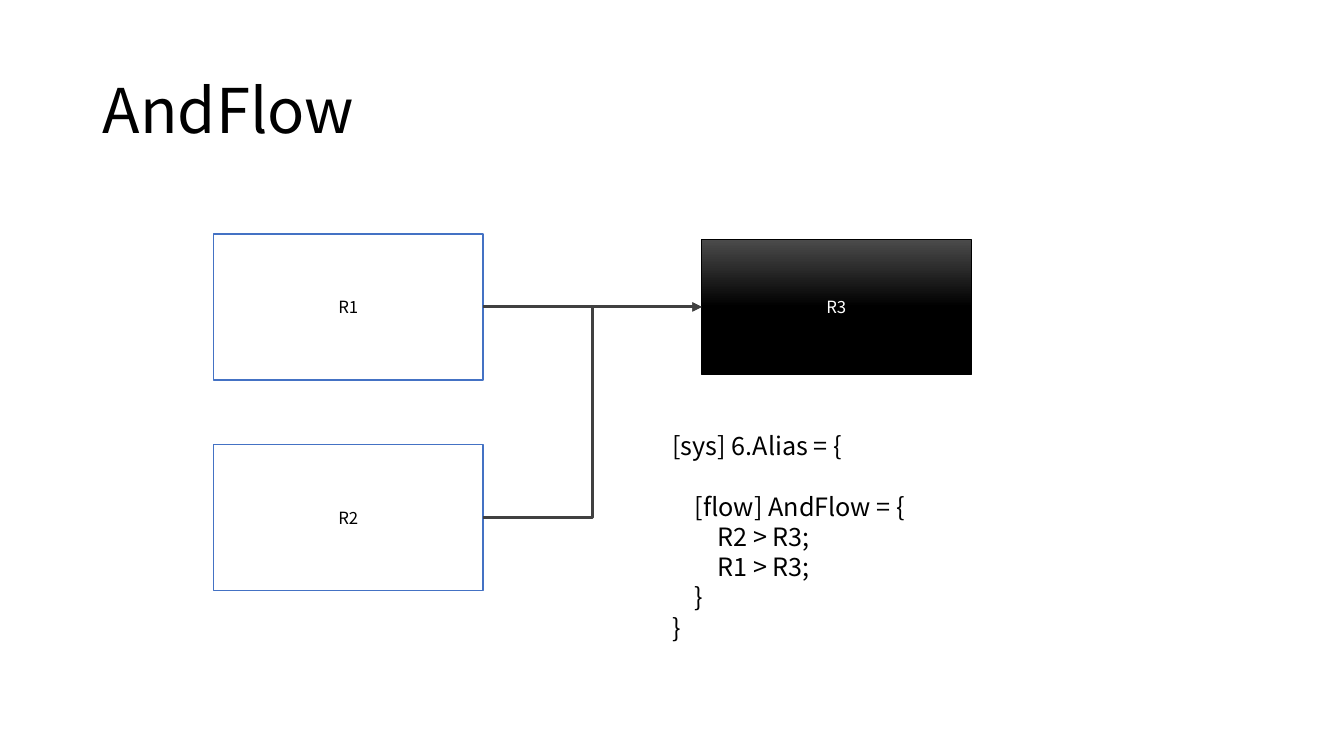
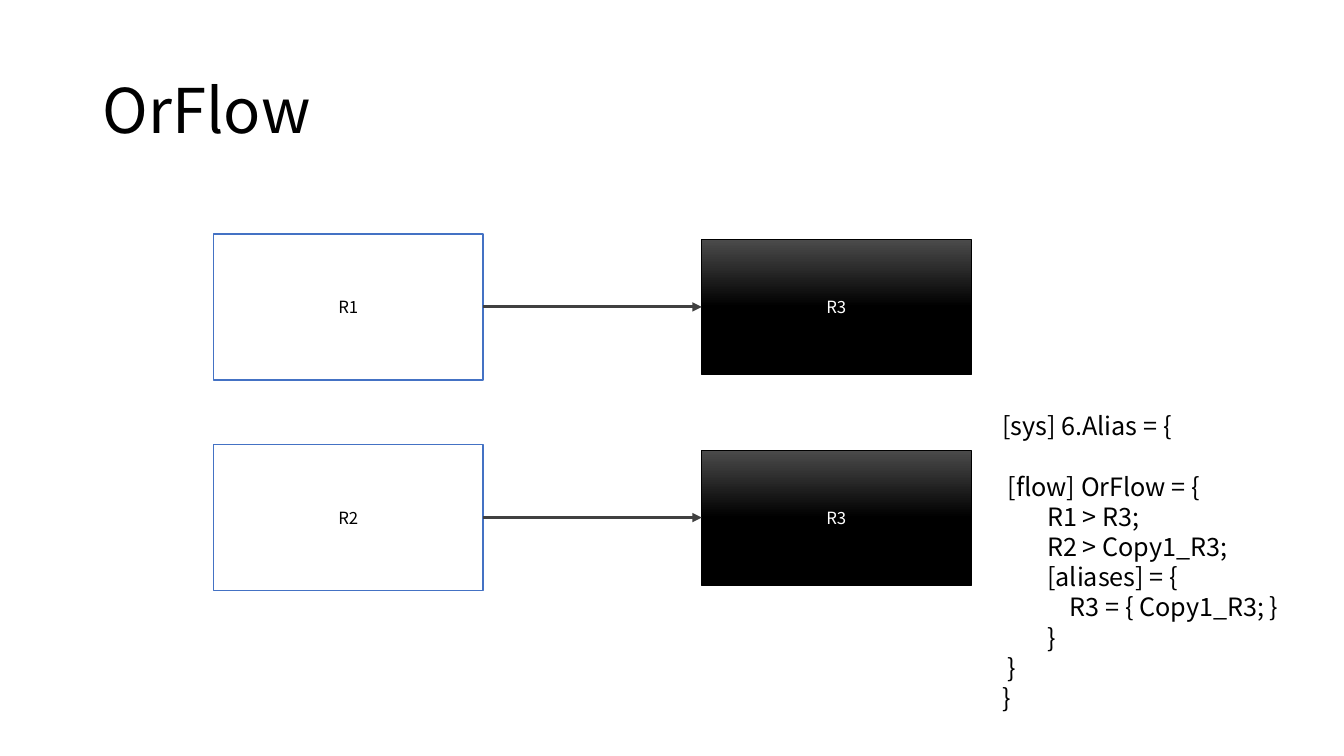
from lxml.etree import SubElement
from pptx import Presentation
from pptx.dml.color import RGBColor
from pptx.enum.shapes import MSO_CONNECTOR, MSO_SHAPE
from pptx.enum.text import MSO_ANCHOR, MSO_AUTO_SIZE, PP_ALIGN
from pptx.oxml.ns import qn
from pptx.util import Inches, Pt

FONT = "Noto Sans CJK KR"
BLACK = "000000"
WHITE = "FFFFFF"
BLUE = "4472C4"
GRAY = "404040"
CHARCOAL = "4B4B4B"

TITLE_BOX = (0.92, 0.4, 11.5, 1.45)
DIAGRAM_BOX = (2.12, 2.32, 7.51, 3.54)
NODE_WIDTH = 2.67
SOURCE_HEIGHT = 1.45
TARGET_HEIGHT = 1.34

AND_CODE = """[sys] 6.Alias = {
    [flow] AndFlow = {
        R2 > R3;
        R1 > R3;
    }
}"""

OR_CODE = """[sys] 6.Alias = {
 [flow] OrFlow = {
        R1 > R3;
        R2 > Copy1_R3;
        [aliases] = {
            R3 = { Copy1_R3; }
        }
 }
}"""


def color(value):
    return RGBColor.from_string(value)


def inches(box):
    return [Inches(length) for length in box]


def add_text(frame, text, size=12, fill=BLACK, align=PP_ALIGN.LEFT,
             anchor=MSO_ANCHOR.MIDDLE, line_spacing=None, gaps=None):
    frame.word_wrap = True
    frame.vertical_anchor = anchor
    for index, line in enumerate(text.split("\n")):
        para = frame.add_paragraph() if index else frame.paragraphs[0]
        para.alignment = align
        para.line_spacing = line_spacing
        if gaps and index in gaps:
            para.space_before = Pt(gaps[index])
        span = para.add_run()
        span.text = line
        span.font.name = FONT
        span.font.size = Pt(size)
        span.font.color.rgb = color(fill)


def add_title(page, box, text):
    title = page.shapes.title
    title.left, title.top, title.width, title.height = inches(box)
    add_text(title.text_frame, text, size=44, line_spacing=0.9)


def add_node(page, box, text, line, line_width, text_fill):
    node = page.shapes.add_shape(MSO_SHAPE.RECTANGLE, *inches(box))
    node.shadow.inherit = False
    node.fill.background()
    node.line.color.rgb = color(line)
    node.line.width = Pt(line_width)
    add_text(node.text_frame, text, fill=text_fill, align=PP_ALIGN.CENTER)
    return node


def add_source(page, left, middle, text):
    box = (left, middle - SOURCE_HEIGHT / 2, NODE_WIDTH, SOURCE_HEIGHT)
    return add_node(page, box, text, BLUE, 1, BLACK)


def add_target(page, left, middle, text):
    box = (left, middle - TARGET_HEIGHT / 2, NODE_WIDTH, TARGET_HEIGHT)
    node = add_node(page, box, text, BLACK, 0.5, WHITE)
    node.fill.gradient()
    node.fill.gradient_angle = 270
    stops = ((0, CHARCOAL), (0.5, BLACK))
    for stop, (position, value) in zip(node.fill.gradient_stops, stops):
        stop.position = position
        stop.color.rgb = color(value)
    return node


def add_arrow(page, source, target, kind):
    arrow = page.shapes.add_connector(kind, 0, 0, 0, 0)
    arrow.begin_connect(source, 3)
    arrow.end_connect(target, 1)
    arrow.line.color.rgb = color(GRAY)
    arrow.line.width = Pt(2.25)
    SubElement(arrow.line._get_or_add_ln(), qn("a:tailEnd"), type="triangle")
    SubElement(arrow._element.spPr, qn("a:effectLst"))


def add_diagram(page, box, shared_target):
    left, top, width, height = box
    middles = (top + SOURCE_HEIGHT / 2, top + height - SOURCE_HEIGHT / 2)
    target_left = left + width - NODE_WIDTH
    target = None
    for number, middle in enumerate(middles, start=1):
        source = add_source(page, left, middle, f"R{number}")
        joins = shared_target and target is not None
        if not joins:
            target = add_target(page, target_left, middle, "R3")
        kind = MSO_CONNECTOR.ELBOW if joins else MSO_CONNECTOR.STRAIGHT
        add_arrow(page, source, target, kind)


def add_code(page, box, code):
    frame = page.shapes.add_textbox(*inches(box)).text_frame
    add_text(frame, code, size=18, anchor=MSO_ANCHOR.TOP, gaps={1: 21.75})
    frame.auto_size = MSO_AUTO_SIZE.SHAPE_TO_FIT_TEXT


def add_flow_page(deck, title, shared_target, code, code_box):
    page = deck.slides.add_slide(deck.slide_layouts[5])
    add_title(page, TITLE_BOX, title)
    add_diagram(page, DIAGRAM_BOX, shared_target)
    add_code(page, code_box, code)


def main():
    deck = Presentation()
    deck.slide_width = Inches(13.33)
    deck.slide_height = Inches(7.5)
    add_flow_page(deck, "AndFlow", True, AND_CODE, (6.57, 4.22, 6.67, 2.52))
    add_flow_page(deck, "OrFlow", False, OR_CODE, (9.84, 4.02, 3.4, 3.43))
    deck.save("out.pptx")


if __name__ == "__main__":
    main()
